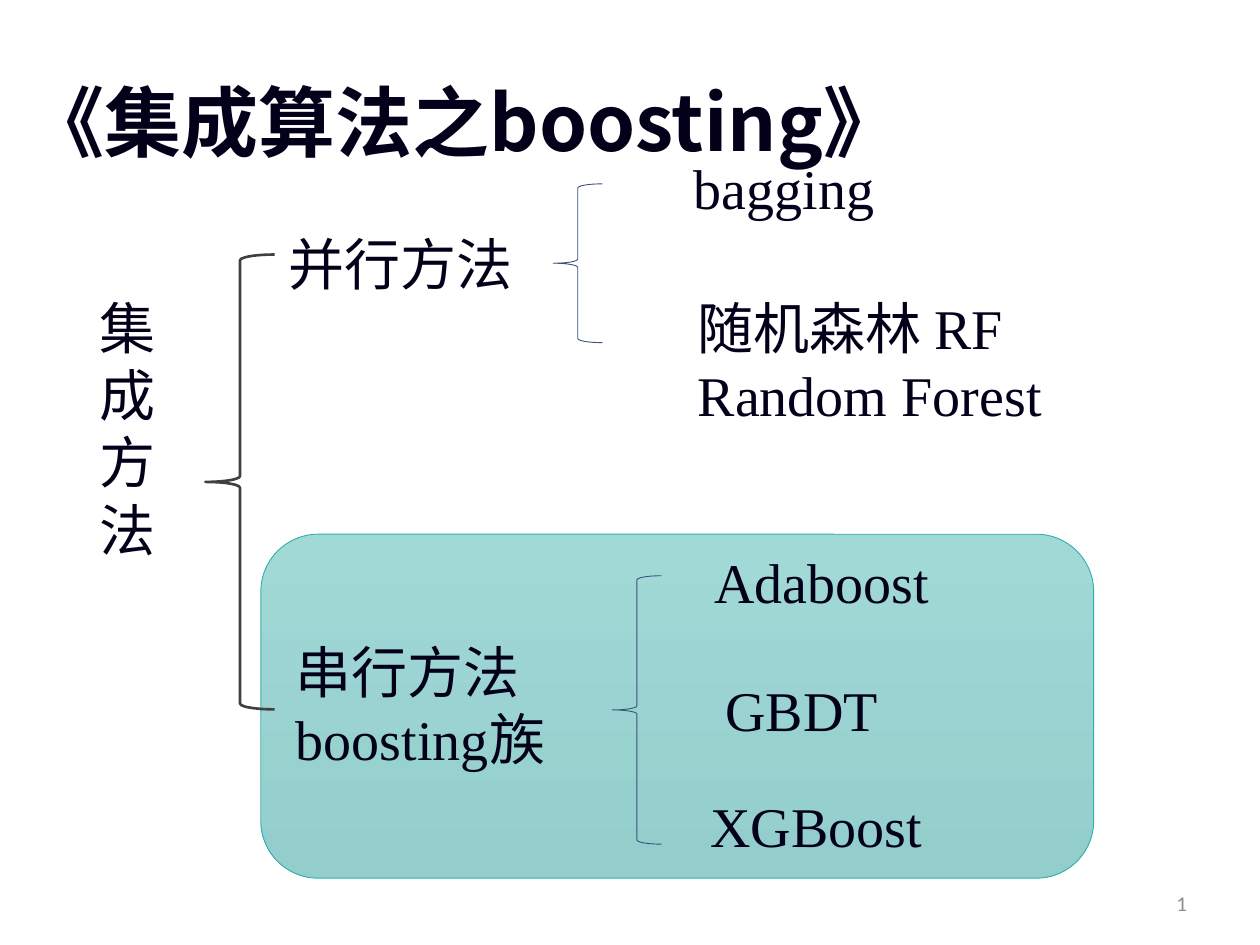
from dataclasses import dataclass

from lxml.etree import SubElement as Sub
from pptx import Presentation
from pptx.dml.color import RGBColor as Rgb
from pptx.enum.shapes import MSO_SHAPE as Kind
from pptx.enum.text import MSO_ANCHOR as Anchor, PP_ALIGN as Align
from pptx.oxml.ns import qn
from pptx.util import Emu, Pt

PX = 9144


@dataclass(frozen=True)
class Theme:
    ink: str = "03001A"
    gray: str = "8C8C8C"
    dark: str = "404040"
    navy: str = "39527B"
    edge: str = "30AEAB"
    top: str = "A0D9D6"
    low: str = "93CECC"
    head: int = 44
    body: int = 32
    note: int = 12
    serif: str = "Times New Roman"
    sans: str = "Calibri"
    han: str = "Noto Sans CJK SC"


@dataclass(frozen=True)
class Box:
    x: int
    y: int
    w: int
    h: int

    def emu(self) -> list[Emu]:
        return [Emu(n * PX) for n in (self.x, self.y, self.w, self.h)]


@dataclass(frozen=True)
class Label:
    text: str
    box: Box


@dataclass(frozen=True)
class Brace:
    box: Box
    color: str
    width: float


THEME = Theme()

LABELS = [
    Label("集\n成\n方\n法", Box(69, 228, 64, 223)),
    Label("并行方法", Box(219, 177, 198, 63)),
    Label("串行方法\nboosting族", Box(225, 501, 228, 116)),
    Label("bagging", Box(541, 117, 164, 63)),
    Label("随机森林 RF\nRandom Forest", Box(544, 228, 294, 116)),
    Label("Adaboost", Box(557, 430, 191, 63)),
    Label("GBDT", Box(566, 531, 141, 63)),
    Label("XGBoost", Box(554, 623, 188, 63)),
]

BRACES = [
    Brace(Box(163, 202, 55, 361), THEME.dark, 1.5),
    Brace(Box(439, 146, 39, 126), THEME.navy, 0.5),
    Brace(Box(486, 457, 39, 213), THEME.navy, 0.5),
]


def write(slide, text: str, box: Box, *, size: int = THEME.body,
          face: str = THEME.serif, color: str = THEME.ink, bold: bool = False,
          align: Align = Align.LEFT, anchor: Anchor = Anchor.TOP,
          wrap: bool = False) -> None:
    frame = slide.shapes.add_textbox(*box.emu()).text_frame
    frame.word_wrap = wrap
    frame.vertical_anchor = anchor
    frame.text = text
    for para in frame.paragraphs:
        para.alignment = align
        for run in para.runs:
            font = run.font
            font.size = Pt(size)
            font.bold = bold
            font.color.rgb = Rgb.from_string(color)
            font.name = face
            Sub(run._r.get_or_add_rPr(), qn("a:ea"), typeface=THEME.han)


def outline(shape, color: str, width: float) -> None:
    shape.shadow.inherit = False
    shape.line.color.rgb = Rgb.from_string(color)
    shape.line.width = Pt(width)


def panel(slide, box: Box) -> None:
    shape = slide.shapes.add_shape(Kind.ROUNDED_RECTANGLE, *box.emu())
    outline(shape, THEME.edge, 0.5)
    fill = shape.fill
    fill.gradient()
    fill.gradient_angle = 270
    for stop, color, pos in zip(fill.gradient_stops, (THEME.top, THEME.low), (0, 1)):
        stop.color.rgb = Rgb.from_string(color)
        stop.position = pos


def brace(slide, item: Brace) -> None:
    shape = slide.shapes.add_shape(Kind.LEFT_BRACE, *item.box.emu())
    shape.fill.background()
    outline(shape, item.color, item.width)


def main() -> None:
    deck = Presentation()
    deck.slide_width, deck.slide_height = Emu(1000 * PX), Emu(750 * PX)
    slide = deck.slides.add_slide(deck.slide_layouts[6])
    write(slide, "1", Box(719, 697, 233, 40), size=THEME.note, face=THEME.sans,
          color=THEME.gray, align=Align.RIGHT, anchor=Anchor.MIDDLE, wrap=True)
    write(slide, "《集成算法之boosting》", Box(12, 36, 797, 119), size=THEME.head,
          face=THEME.han, bold=True, anchor=Anchor.MIDDLE, wrap=True)
    panel(slide, Box(207, 424, 661, 273))
    for item in BRACES:
        brace(slide, item)
    for label in LABELS:
        write(slide, label.text, label.box)
    deck.save("out.pptx")


if __name__ == "__main__":
    main()
